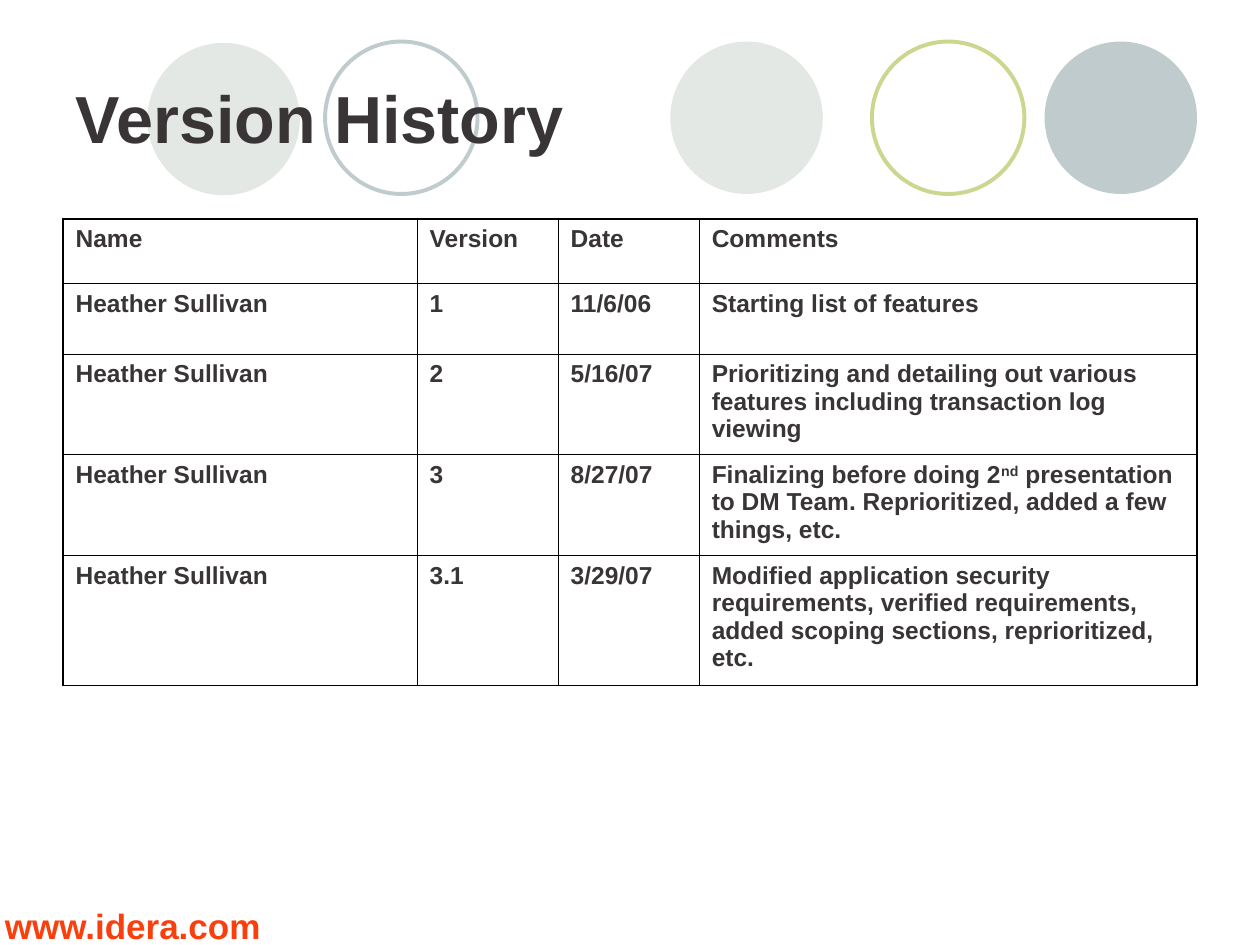
from lxml import etree
from pptx import Presentation
from pptx.dml.color import RGBColor
from pptx.enum.shapes import MSO_SHAPE
from pptx.enum.text import MSO_ANCHOR, PP_ALIGN
from pptx.oxml.ns import qn
from pptx.util import Inches, Pt

OVAL = MSO_SHAPE.OVAL
MIDDLE = MSO_ANCHOR.MIDDLE
LEFT = PP_ALIGN.LEFT

TITLE_ONLY = 5
INK = "393536"
ORANGE = "F93F0E"
PALE = "E3E8E4"
GREY = "BFCBCC"
GREEN = "CDD68F"
BLACK = "000000"
OUTER_WIDTH = 1.08
INNER_WIDTH = 0.45

# left, top, colour, filled
CIRCLES = [
    (5.32, 0.33, PALE, True),
    (8.29, 0.33, GREY, True),
    (1.17, 0.34, PALE, True),
    (6.92, 0.33, GREEN, False),
    (2.58, 0.33, GREY, False),
]
CIRCLE_SIZE = 1.21

COLUMN_WIDTHS = [2.81, 1.12, 1.12, 3.95]
ROW_HEIGHTS = [0.51, 0.56, 0.8, 0.8, 1.03]
AUTHOR = "Heather Sullivan"
# A cell is a list of (text, is superscript) runs, or one plain string
VERSIONS = [
    ("Name", "Version", "Date", "Comments"),
    (AUTHOR, "1", "11/6/06", "Starting list of features"),
    (AUTHOR, "2", "5/16/07",
     "Prioritizing and detailing out various features including transaction log viewing"),
    (AUTHOR, "3", "8/27/07",
     [("Finalizing before doing 2", False), ("nd", True),
      (" presentation to DM Team. Reprioritized, added a few things, etc.", False)]),
    (AUTHOR, "3.1", "3/29/07",
     "Modified application security requirements, verified requirements, "
     "added scoping sections, reprioritized, etc."),
]


def colour(value):
    return RGBColor.from_string(value)


def format_paragraph(paragraph, size, value):
    paragraph.alignment = LEFT
    font = paragraph.font
    font.name = "Arial"
    font.size = Pt(size)
    font.bold = True
    font.color.rgb = colour(value)


def add_circles(slide):
    for left, top, value, filled in CIRCLES:
        circle = slide.shapes.add_shape(
            OVAL, Inches(left), Inches(top), Inches(CIRCLE_SIZE), Inches(CIRCLE_SIZE))
        circle.shadow.inherit = False
        if filled:
            circle.fill.solid()
            circle.fill.fore_color.rgb = colour(value)
            circle.line.fill.background()
        else:
            circle.fill.background()
            circle.line.color.rgb = colour(value)
            circle.line.width = Pt(2.25)


def place_title(slide, left, top, width, height):
    """Format the title and bring it in front of the circles."""
    title = slide.shapes.title
    title.left, title.top = Inches(left), Inches(top)
    title.width, title.height = Inches(width), Inches(height)
    frame = title.text_frame
    frame.text = "Version History"
    frame.vertical_anchor = MIDDLE
    format_paragraph(frame.paragraphs[0], 38, INK)
    title.element.getparent().append(title.element)


def add_web_address(slide, left, top, width, height):
    box = slide.shapes.add_textbox(
        Inches(left), Inches(top), Inches(width), Inches(height))
    box.text_frame.text = "www.idera.com"
    format_paragraph(box.text_frame.paragraphs[0], 20, ORANGE)


def set_borders(cell, widths):
    """Draw the cell's sides, given their widths in points by tag."""
    properties = cell._tc.get_or_add_tcPr()
    for position, (tag, width) in enumerate(widths.items()):
        line = etree.Element(qn(tag), w=str(int(Pt(width))))
        fill = etree.SubElement(line, qn("a:solidFill"))
        etree.SubElement(fill, qn("a:srgbClr"), val=BLACK)
        properties.insert(position, line)


def fill_cell(cell, content):
    runs = [(content, False)] if isinstance(content, str) else content
    paragraph = cell.text_frame.paragraphs[0]
    for text, superscript in runs:
        run = paragraph.add_run()
        run.text = text
        if superscript:
            run.font._element.set("baseline", "30000")
    format_paragraph(paragraph, 14, INK)
    cell.fill.background()


def add_version_table(slide, left, top, width, height):
    last_row, last_column = len(ROW_HEIGHTS) - 1, len(COLUMN_WIDTHS) - 1
    table = slide.shapes.add_table(
        len(ROW_HEIGHTS), len(COLUMN_WIDTHS),
        Inches(left), Inches(top), Inches(width), Inches(height)).table
    table.first_row = False
    table.horz_banding = False
    for column, column_width in zip(table.columns, COLUMN_WIDTHS):
        column.width = Inches(column_width)
    for row, row_height in zip(table.rows, ROW_HEIGHTS):
        row.height = Inches(row_height)
    for row_index, contents in enumerate(VERSIONS):
        for column_index, content in enumerate(contents):
            cell = table.cell(row_index, column_index)
            fill_cell(cell, content)
            on_edge = {
                "a:lnL": column_index == 0,
                "a:lnR": column_index == last_column,
                "a:lnT": row_index == 0,
                "a:lnB": row_index == last_row,
            }
            set_borders(cell, {tag: OUTER_WIDTH if edge else INNER_WIDTH
                               for tag, edge in on_edge.items()})


def main():
    presentation = Presentation()
    presentation.slide_width = Inches(10)
    presentation.slide_height = Inches(7.5)
    slide = presentation.slides.add_slide(presentation.slide_layouts[TITLE_ONLY])
    add_circles(slide)
    add_web_address(slide, -0.06, 7.13, 2.33, 0.5)
    place_title(slide, 0.5, 0.3, 9, 1.25)
    add_version_table(slide, 0.5, 1.74, 9, sum(ROW_HEIGHTS))
    presentation.save("out.pptx")


if __name__ == "__main__":
    main()
